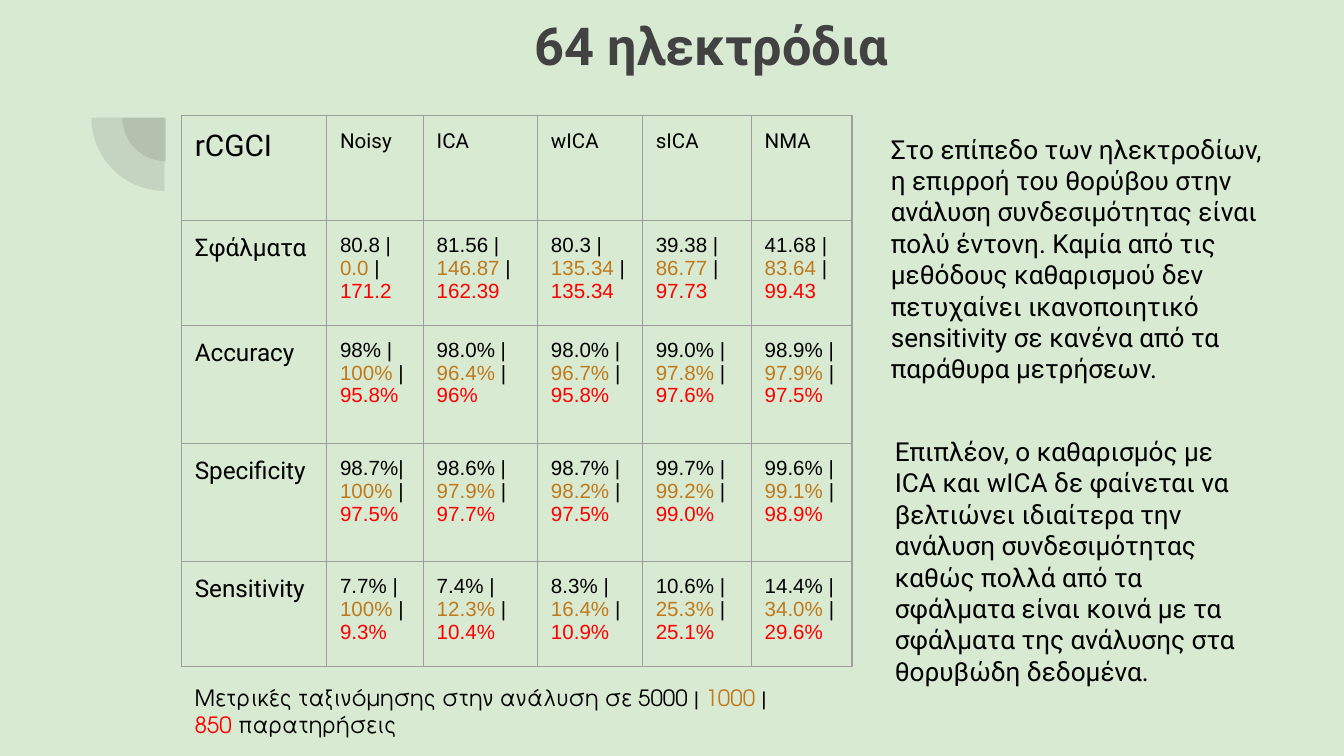
from typing import NamedTuple

from lxml import etree
from pptx import Presentation
from pptx.dml.color import RGBColor
from pptx.enum.shapes import MSO_SHAPE
from pptx.enum.text import MSO_ANCHOR, PP_ALIGN
from pptx.oxml.ns import qn
from pptx.util import Inches, Pt

PIE = MSO_SHAPE.PIE
TOP = MSO_ANCHOR.TOP
LEFT = PP_ALIGN.LEFT

COLORS = {
    "background": "D9EAD3",
    "dark": "424242",
    "text": "000000",
    "medium": "C0791B",
    "short": "FF0000",
    "border": "9E9E9E",
}
BODY_FONT = "Roboto"
VALUE_FONT = "Arial"
CAPTION_FONT = "TeX Gyre Adventor"
INSET = Inches(0.1)


class Box(NamedTuple):
    left: float
    top: float
    width: float
    height: float


class Span(NamedTuple):
    text: str
    color: str = "text"


class Note(NamedTuple):
    box: Box
    spans: list[Span]
    size: float = 14
    font: str = BODY_FONT


class Metric(NamedTuple):
    name: str
    values: list[str]  # 5000 | 1000 | 850 observations, for each method


METHODS = ["Noisy", "ICA", "wICA", "sICA", "NMA"]
METRICS = [
    Metric("Σφάλματα", ["80.8 |\n0.0 |\n171.2", "81.56 |\n146.87 |\n162.39",
                        "80.3 | 135.34 | 135.34", "39.38 |\n86.77 |\n97.73",
                        "41.68 |\n83.64 |\n99.43"]),
    Metric("Accuracy", ["98% | 100% | 95.8%", "98.0% | 96.4% | 96%", "98.0% | 96.7% | 95.8%",
                        "99.0% | 97.8% | 97.6%", "98.9% | 97.9% | 97.5%"]),
    Metric("Specificity", ["98.7%|100% | 97.5%", "98.6% | 97.9% | 97.7%",
                           "98.7% | 98.2% | 97.5%", "99.7% | 99.2% | 99.0%",
                           "99.6% | 99.1% | 98.9%"]),
    Metric("Sensitivity", ["7.7% | 100% | 9.3%", "7.4% | 12.3% | 10.4%",
                           "8.3% | 16.4% | 10.9%", "10.6% | 25.3% | 25.1%",
                           "14.4% | 34.0% | 29.6%"]),
]
COLUMN_WIDTHS = [1.08, 0.72, 0.85, 0.78, 0.81, 0.75]
ROW_HEIGHTS = [0.78, 0.78, 0.88, 0.88, 0.78]
TABLE_BOX = Box(1.35, 0.86, sum(COLUMN_WIDTHS), sum(ROW_HEIGHTS))

PIES = [Box(0.91, 0.55, 0.65, 0.65), Box(0.68, 0.33, 1.09, 1.09)]
NOTES = [
    Note(Box(6.53, 0.89, 3.1, 2.09), [Span(
        "Στο επίπεδο των ηλεκτροδίων, η επιρροή του θορύβου στην ανάλυση "
        "συνδεσιμότητας είναι πολύ έντονη. Καμία από τις μεθόδους καθαρισμού δεν "
        "πετυχαίνει ικανοποιητικό sensitivity σε κανένα από τα παράθυρα μετρήσεων.")]),
    Note(Box(6.56, 3.14, 2.86, 1.85), [Span(
        "Επιπλέον, ο καθαρισμός με ICA και wICA δε φαίνεται να βελτιώνει ιδιαίτερα "
        "την ανάλυση συνδεσιμότητας καθώς πολλά από τα σφάλματα είναι κοινά με τα "
        "σφάλματα της ανάλυσης στα θορυβώδη δεδομένα.")]),
    Note(Box(1.35, 4.99, 4.57, 0.61), [
        Span("Μετρικές ταξινόμησης στην ανάλυση σε 5000 | "), Span("1000 ", "medium"),
        Span("| "), Span("850 ", "short"), Span("παρατηρήσεις")], 12, CAPTION_FONT),
]


def color(name: str) -> RGBColor:
    return RGBColor.from_string(COLORS[name])


def inches(box: Box) -> list:
    return [Inches(value) for value in box]


def set_insets(frame) -> None:
    frame.margin_left = frame.margin_right = INSET
    frame.margin_top = frame.margin_bottom = INSET


def write_spans(para, spans: list[Span], size: float, font: str) -> None:
    for span in spans:
        run = para.add_run()
        run.text = span.text
        run.font.size = Pt(size)
        run.font.name = font
        run.font.color.rgb = color(span.color)


def draw_pie(slide, box: Box) -> None:
    pie = slide.shapes.add_shape(PIE, *inches(box))
    pie.shadow.inherit = False
    pie.adjustments[0] = 108
    pie.adjustments[1] = 162
    pie.rotation = 270
    pie.line.fill.background()
    pie.fill.solid()
    pie.fill.fore_color.rgb = color("dark")
    # 13 % opacity
    tone = pie.fill._xPr.find(".//" + qn("a:srgbClr"))
    etree.SubElement(tone, qn("a:alpha"), val="13000")


def draw_title(slide, text: str, box: Box) -> None:
    title = slide.shapes.title
    title.left, title.top, title.width, title.height = inches(box)
    frame = title.text_frame
    set_insets(frame)
    frame.vertical_anchor = TOP
    para = frame.paragraphs[0]
    para.alignment = LEFT
    write_spans(para, [Span(text, "dark")], 28, BODY_FONT)
    para.runs[0].font.bold = True


def draw_note(slide, note: Note) -> None:
    frame = slide.shapes.add_textbox(*inches(note.box)).text_frame
    frame.word_wrap = True
    set_insets(frame)
    write_spans(frame.paragraphs[0], note.spans, note.size, note.font)


def style_cell(cell) -> None:
    set_insets(cell)
    properties = cell._tc.get_or_add_tcPr()
    for side in ("lnL", "lnR", "lnT", "lnB"):
        line = etree.SubElement(properties, qn(f"a:{side}"), w=str(Pt(0.75)))
        fill = etree.SubElement(line, qn("a:solidFill"))
        etree.SubElement(fill, qn("a:srgbClr"), val=COLORS["border"])
    cell.fill.background()


def write_label(cell, text: str, size: float) -> None:
    write_spans(cell.text_frame.paragraphs[0], [Span(text)], size, BODY_FONT)


def write_values(cell, text: str) -> None:
    """Colour the three values in turn; the bars between them stay black."""
    frame = cell.text_frame
    frame.text = text
    tones = iter(("text", "medium", "short"))
    for para in frame.paragraphs:
        pieces = para.text.split("|")
        para.clear()
        spans = []
        for index, piece in enumerate(pieces):
            if index:
                spans.append(Span("|"))
            if piece:
                spans.append(Span(piece, next(tones)))
        write_spans(para, spans, 11, VALUE_FONT)


def draw_table(slide) -> None:
    frame = slide.shapes.add_table(len(ROW_HEIGHTS), len(COLUMN_WIDTHS), *inches(TABLE_BOX))
    table = frame.table
    table.first_row = table.horz_banding = False
    for column, width in zip(table.columns, COLUMN_WIDTHS):
        column.width = Inches(width)
    for row, height in zip(table.rows, ROW_HEIGHTS):
        row.height = Inches(height)
    for cell in table.iter_cells():
        style_cell(cell)

    # Header row, then one row for each metric
    write_label(table.cell(0, 0), "rCGCI", 16)
    for column, method in enumerate(METHODS, 1):
        write_label(table.cell(0, column), method, 11)
    for row, metric in enumerate(METRICS, 1):
        write_label(table.cell(row, 0), metric.name, 13)
        for column, text in enumerate(metric.values, 1):
            write_values(table.cell(row, column), text)


def main() -> None:
    deck = Presentation()
    # 16:9 page
    deck.slide_width = Inches(10)
    deck.slide_height = deck.slide_width * 9 // 16
    slide = deck.slides.add_slide(deck.slide_layouts[5])
    slide.background.fill.solid()
    slide.background.fill.fore_color.rgb = color("background")

    # Corner ornament
    for box in PIES:
        draw_pie(slide, box)

    # Title, results and comments
    draw_title(slide, "64 ηλεκτρόδια", Box(3.88, 0, 4.45, 0.91))
    draw_table(slide)
    for note in NOTES:
        draw_note(slide, note)
    deck.save("out.pptx")


if __name__ == "__main__":
    main()
